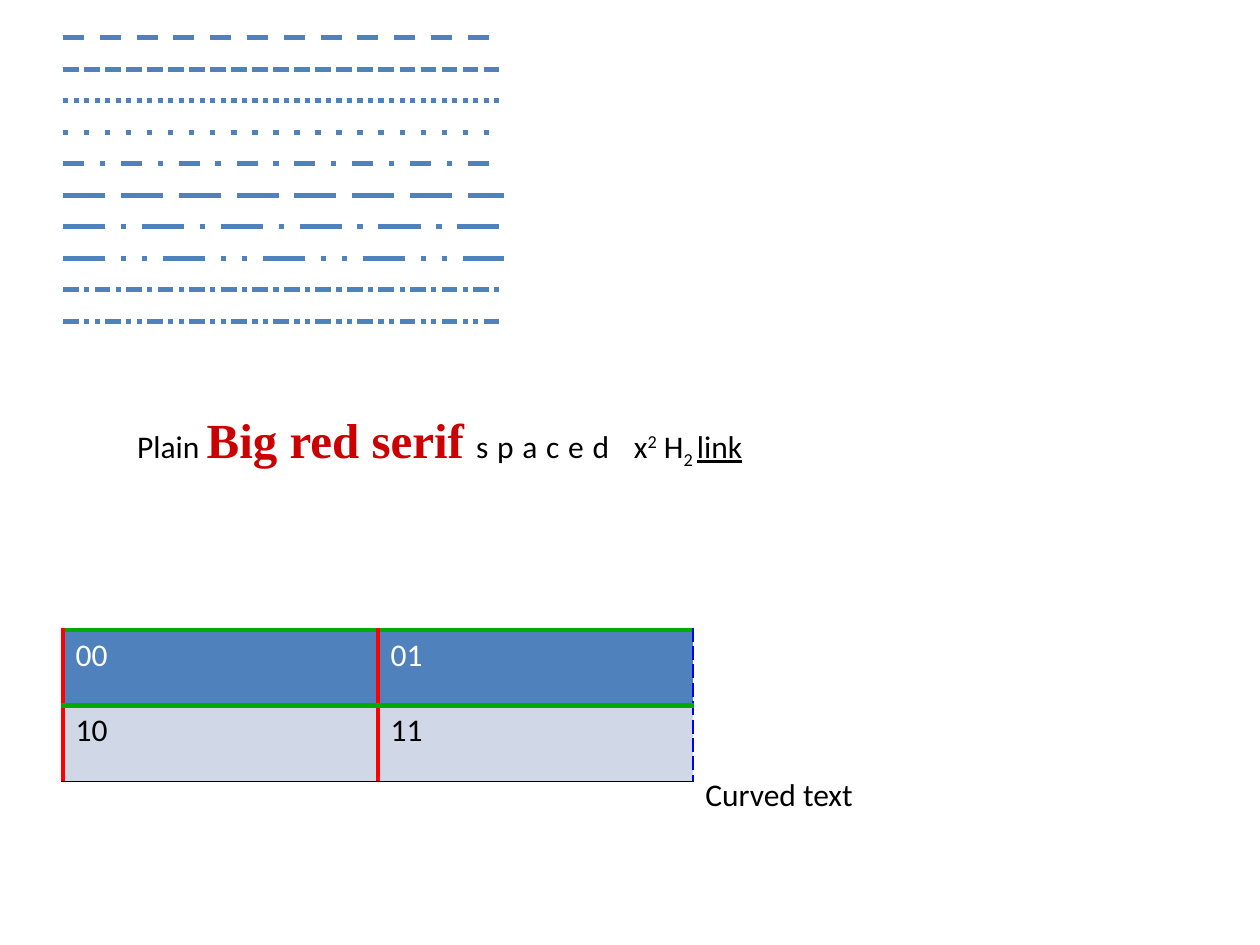
from dataclasses import dataclass, field

from lxml import etree
from pptx import Presentation
from pptx.dml.color import RGBColor
from pptx.enum.shapes import MSO_CONNECTOR
from pptx.enum.text import MSO_ANCHOR, MSO_AUTO_SIZE
from pptx.oxml.ns import qn
from pptx.util import Inches, Pt

STRAIGHT = MSO_CONNECTOR.STRAIGHT
FIT_SHAPE, NO_FIT = MSO_AUTO_SIZE.SHAPE_TO_FIT_TEXT, MSO_AUTO_SIZE.NONE
TOP, BOTTOM = MSO_ANCHOR.TOP, MSO_ANCHOR.BOTTOM

MARGIN = 0.5
BLUE, PALE, BLACK, WHITE = "4F81BD", "D0D8E7", "000000", "FFFFFF"
DASHES = ["dash", "sysDash", "sysDot", "dot", "dashDot", "lgDash",
          "lgDashDot", "lgDashDotDot", "sysDashDot", "sysDashDotDot"]
DASH_TOP, DASH_STEP, DASH_LENGTH = 0.3, 0.25, 3.5
TABLE_TOP, COLUMN_WIDTH, ROW_HEIGHT = 5, 2.5, 0.6
BASE_FONT = {"name": "Calibri", "size": Pt(18), "bold": False}


@dataclass
class Span:
    text: str
    color: str = BLACK
    font: dict = field(default_factory=dict)
    attributes: dict = field(default_factory=dict)  # spacing and baseline


@dataclass
class Border:
    color: str
    points: float
    dash: str = "solid"


RED, GREEN = Border("FF0000", 2.25), Border("00AA00", 3)
RIGHT_EDGE, BOTTOM_EDGE = Border("0000FF", 1, "dash"), Border(BLACK, 0.5)

SPANS = [
    Span("Plain "),
    Span("Big red serif ", "CC0000",
         {"name": "Times New Roman", "size": Pt(28), "bold": True}),
    Span("spaced ", attributes={"spc": "500"}),
    Span("x"),
    Span("2", attributes={"baseline": "30000"}),
    Span(" H"),
    Span("2 ", attributes={"baseline": "-25000"}),
    Span("link", font={"underline": True}),
]


def rgb(color: str) -> RGBColor:
    return RGBColor.from_string(color)


def add_span(para, span: Span) -> None:
    run = para.add_run()
    run.text = span.text
    for name, value in {**BASE_FONT, **span.font}.items():
        setattr(run.font, name, value)
    run.font.color.rgb = rgb(span.color)
    for name, value in span.attributes.items():
        run.font._element.set(name, value)


def add_dashed_line(page, row: int, dash: str) -> None:
    y = Inches(DASH_TOP + row * DASH_STEP)
    line = page.shapes.add_connector(
        STRAIGHT, Inches(MARGIN), y, Inches(MARGIN + DASH_LENGTH), y)
    line.line.color.rgb = rgb(BLUE)
    line.line.width = Pt(3)
    properties = line._element.spPr
    outline = properties.find(qn("a:ln"))
    etree.SubElement(outline, qn("a:prstDash"), val=dash)
    etree.SubElement(properties, qn("a:effectLst"))


def add_text(page, area: tuple, spans: list[Span], anchor, fit) -> None:
    box = page.shapes.add_textbox(*map(Inches, area))
    frame = box.text_frame
    settings = {"word_wrap": False, "auto_size": fit, "vertical_anchor": anchor}
    for name, value in settings.items():
        setattr(frame, name, value)
    for span in spans:
        add_span(frame.paragraphs[0], span)


def set_border(cell, side: str, border: Border) -> None:
    properties = cell._tc.get_or_add_tcPr()
    line = etree.SubElement(properties, qn(f"a:ln{side}"),
                            w=str(int(Pt(border.points))))
    fill = etree.SubElement(line, qn("a:solidFill"))
    etree.SubElement(fill, qn("a:srgbClr"), val=border.color)
    etree.SubElement(line, qn("a:prstDash"), val=border.dash)


def add_grid(page, rows: int, columns: int) -> None:
    table = page.shapes.add_table(
        rows, columns, Inches(MARGIN), Inches(TABLE_TOP),
        Inches(columns * COLUMN_WIDTH), Inches(rows * ROW_HEIGHT)).table
    for row in range(rows):
        for column in range(columns):
            cell = table.cell(row, column)
            # Inner edges match the neighbour that shares them
            borders = {"L": RED,
                       "R": RIGHT_EDGE if column == columns - 1 else RED,
                       "T": GREEN,
                       "B": BOTTOM_EDGE if row == rows - 1 else GREEN}
            for side, border in borders.items():
                set_border(cell, side, border)
            cell.fill.solid()
            cell.fill.fore_color.rgb = rgb(PALE if row else BLUE)
            add_span(cell.text_frame.paragraphs[0],
                     Span(f"{row}{column}", BLACK if row else WHITE))


def main() -> None:
    deck = Presentation()
    deck.slide_width, deck.slide_height = Inches(10), Inches(7.5)
    page = deck.slides.add_slide(deck.slide_layouts[6])

    # Dash styles, one per row
    for row, dash in enumerate(DASHES):
        add_dashed_line(page, row, dash)

    # Mixed character formats
    add_text(page, (0.99, 3.2, 5.02, 0.58), SPANS, TOP, FIT_SHAPE)

    # Bordered table and the label beside it
    add_grid(page, 2, 2)
    add_text(page, (5.5, TABLE_TOP, 4, 1.5), [Span("Curved text")], BOTTOM, NO_FIT)

    deck.save("out.pptx")


if __name__ == "__main__":
    main()
